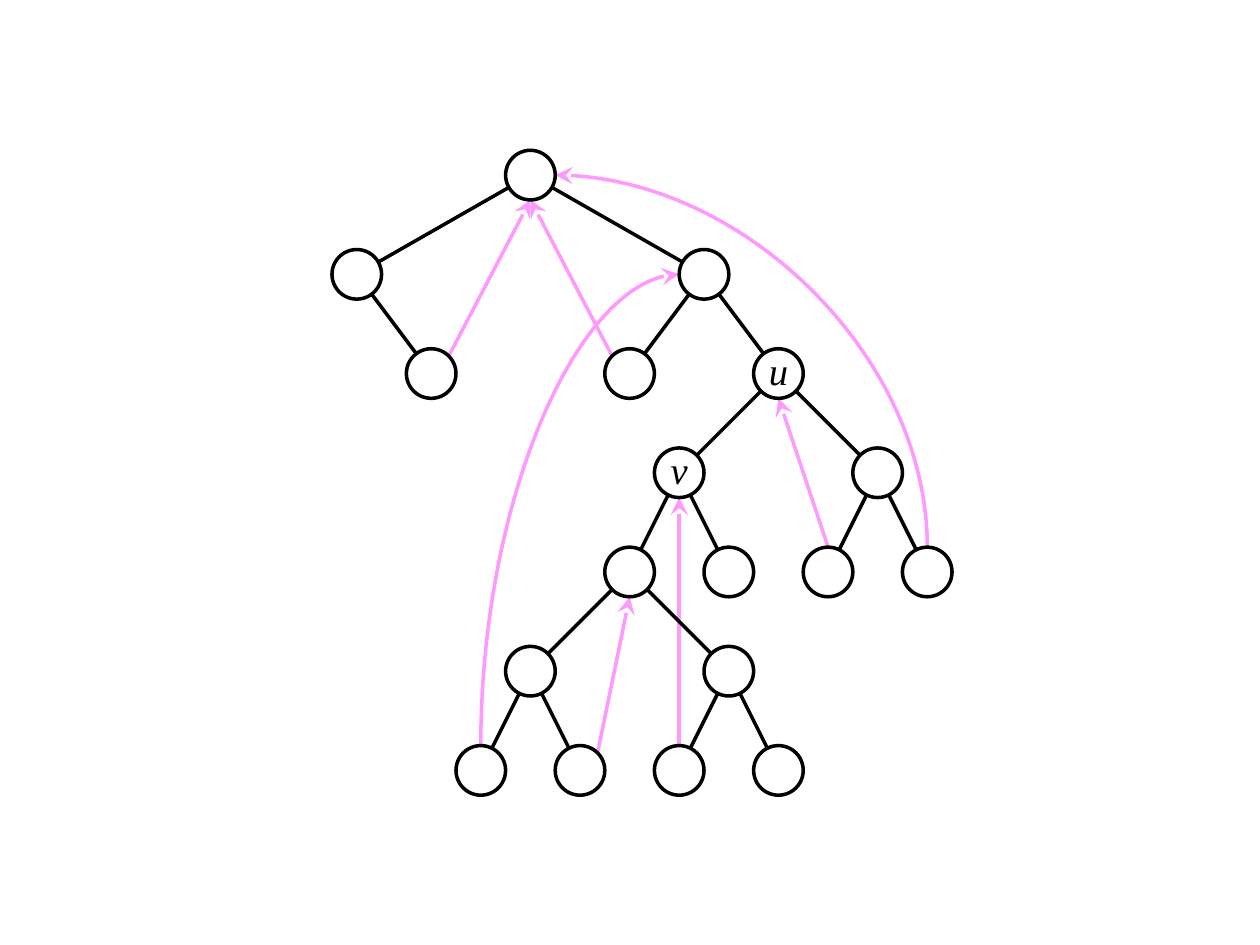
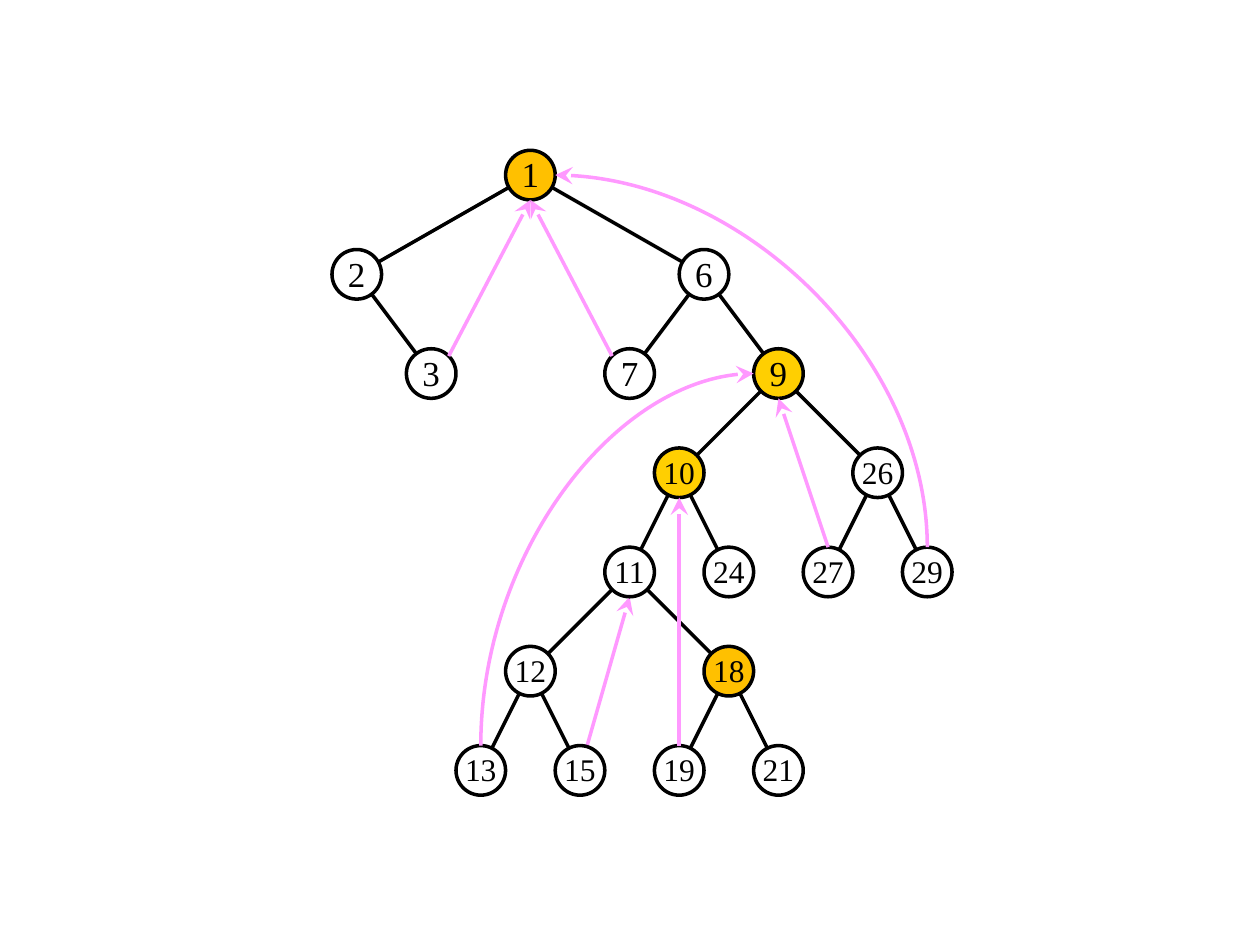
from dataclasses import dataclass
from enum import Enum
from math import sqrt
from typing import NamedTuple

from lxml import etree
from pptx import Presentation
from pptx import util as u
from pptx.dml.color import RGBColor
from pptx.enum import shapes, text
from pptx.oxml.ns import qn
from pptx.shapes.connector import Connector
from pptx.slide import Slide

BLACK = RGBColor(0x00, 0x00, 0x00)
WHITE = RGBColor(0xFF, 0xFF, 0xFF)
PINK = RGBColor(0xFF, 0x99, 0xFF)
AMBER = RGBColor(0xFF, 0xC0, 0x00)
GOLD = RGBColor(0xFF, 0xCF, 0x01)
FONT = "Times New Roman"
STROKE = u.Pt(2)

RADIUS = 0.5 / 2.54
LEVEL_GAP = 4 * RADIUS
ROOT_X, ROOT_Y = 4.21, 1.39
DIAGONAL = 1 / sqrt(2)


class Point(NamedTuple):
    x: float
    y: float


class Site(Enum):
    CENTER = Point(0, 0)
    TOP = Point(0, -1)
    BOTTOM = Point(0, 1)
    LEFT = Point(-1, 0)
    RIGHT = Point(1, 0)
    TOP_LEFT = Point(-DIAGONAL, -DIAGONAL)
    TOP_RIGHT = Point(DIAGONAL, -DIAGONAL)


@dataclass(frozen=True)
class Node:
    column: int
    level: int
    parent: int | None = None

    def at(self, site: Site) -> Point:
        return Point(
            ROOT_X + (self.column + site.value.x) * RADIUS,
            ROOT_Y + self.level * LEVEL_GAP + site.value.y * RADIUS,
        )


@dataclass(frozen=True)
class BackLink:
    source: int
    target: int
    leaves: Site = Site.TOP
    enters: Site = Site.BOTTOM

    @property
    def curved(self) -> bool:
        return self.enters is not Site.BOTTOM


@dataclass(frozen=True)
class LabelStyle:
    top_inset: float
    italic: bool
    sizes: dict[int, int]


@dataclass(frozen=True)
class TreeView:
    labels: dict[int, str]
    style: LabelStyle
    fills: dict[int, RGBColor]
    links_behind: list[BackLink]
    links_in_front: list[BackLink]


TREE = {
    1: Node(0, 0),
    2: Node(-7, 1, 1),
    3: Node(-4, 2, 2),
    6: Node(7, 1, 1),
    7: Node(4, 2, 6),
    9: Node(10, 2, 6),
    10: Node(6, 3, 9),
    11: Node(4, 4, 10),
    12: Node(0, 5, 11),
    13: Node(-2, 6, 12),
    15: Node(2, 6, 12),
    18: Node(8, 5, 11),
    19: Node(6, 6, 18),
    21: Node(10, 6, 18),
    24: Node(8, 4, 10),
    26: Node(14, 3, 9),
    27: Node(12, 4, 26),
    29: Node(16, 4, 26),
}

SHARED_LINKS = [
    BackLink(29, 1, enters=Site.RIGHT),
    BackLink(3, 1, leaves=Site.TOP_RIGHT),
    BackLink(7, 1, leaves=Site.TOP_LEFT),
    BackLink(27, 9),
    BackLink(19, 10),
]

VIEWS = [
    TreeView(
        labels={9: "u", 10: "v"},
        style=LabelStyle(0, True, {1: 22}),
        fills={},
        links_behind=SHARED_LINKS + [
            BackLink(15, 11, leaves=Site.TOP_RIGHT),
            BackLink(13, 6, enters=Site.LEFT),
        ],
        links_in_front=[],
    ),
    TreeView(
        labels={number: str(number) for number in TREE},
        style=LabelStyle(0.04, False, {1: 20, 2: 18}),
        fills={1: AMBER, 9: GOLD, 10: GOLD, 18: AMBER},
        links_behind=[BackLink(15, 11, leaves=Site.CENTER)],
        links_in_front=SHARED_LINKS + [BackLink(13, 9, enters=Site.LEFT)],
    ),
]


def draw_line(slide: Slide, start: Point, end: Point, color: RGBColor) -> Connector:
    line = slide.shapes.add_connector(
        shapes.MSO_CONNECTOR.STRAIGHT, *(u.Inches(v) for v in (*start, *end))
    )
    line.line.color.rgb = color
    line.line.width = STROKE
    etree.SubElement(line.element.spPr, qn("a:effectLst"))
    return line


def bend(link: Connector, start: Point, end: Point) -> None:
    across, rise = abs(end.x - start.x), abs(end.y - start.y)
    link.left = u.Inches((start.x + end.x - rise) / 2)
    link.top = u.Inches((start.y + end.y - across) / 2)
    link.width, link.height = u.Inches(rise), u.Inches(across)
    properties = link.element.spPr
    properties.find(qn("a:prstGeom")).set("prst", "curvedConnector2")
    rightward = end.x > start.x
    frame = properties.find(qn("a:xfrm"))
    frame.set("rot", str((90 if rightward else 270) * 60000))
    frame.set("flipH", "1" if rightward else "0")
    frame.set("flipV", "1")


def draw_back_link(slide: Slide, link: BackLink) -> None:
    start = TREE[link.source].at(link.leaves)
    end = TREE[link.target].at(link.enters)
    arrow = draw_line(slide, start, end, PINK)
    outline = arrow.element.spPr.find(qn("a:ln"))
    etree.SubElement(outline, qn("a:tailEnd"), type="stealth", w="lg", len="lg")
    if link.curved:
        bend(arrow, start, end)


def draw_node(slide: Slide, node: Node, fill: RGBColor, label: str, style: LabelStyle) -> None:
    center = node.at(Site.CENTER)
    circle = slide.shapes.add_shape(
        shapes.MSO_SHAPE.OVAL,
        u.Inches(center.x - RADIUS), u.Inches(center.y - RADIUS),
        u.Inches(2 * RADIUS), u.Inches(2 * RADIUS),
    )
    circle.shadow.inherit = False
    circle.fill.solid()
    circle.fill.fore_color.rgb = fill
    circle.line.color.rgb = BLACK
    circle.line.width = STROKE
    if not label:
        return
    frame = circle.text_frame
    frame.word_wrap = False
    frame.vertical_anchor = text.MSO_ANCHOR.MIDDLE
    frame.margin_top, frame.margin_bottom = u.Inches(style.top_inset), u.Inches(0.06)
    paragraph = frame.paragraphs[0]
    paragraph.text = label
    paragraph.alignment = text.PP_ALIGN.CENTER
    paragraph.font.name = FONT
    paragraph.font.size = u.Pt(style.sizes[len(label)])
    paragraph.font.italic = style.italic
    paragraph.font.color.rgb = BLACK


def draw_tree(slide: Slide, view: TreeView) -> None:
    for link in view.links_behind:
        draw_back_link(slide, link)
    for node in TREE.values():
        if node.parent is not None:
            draw_line(slide, TREE[node.parent].at(Site.CENTER), node.at(Site.CENTER), BLACK)
    for number, node in TREE.items():
        fill = view.fills.get(number, WHITE)
        draw_node(slide, node, fill, view.labels.get(number, ""), view.style)
    for link in view.links_in_front:
        draw_back_link(slide, link)


def main() -> None:
    deck = Presentation()
    deck.slide_width, deck.slide_height = u.Inches(10), u.Inches(7.5)
    for view in VIEWS:
        draw_tree(deck.slides.add_slide(deck.slide_layouts[6]), view)
    deck.save("out.pptx")


if __name__ == "__main__":
    main()
